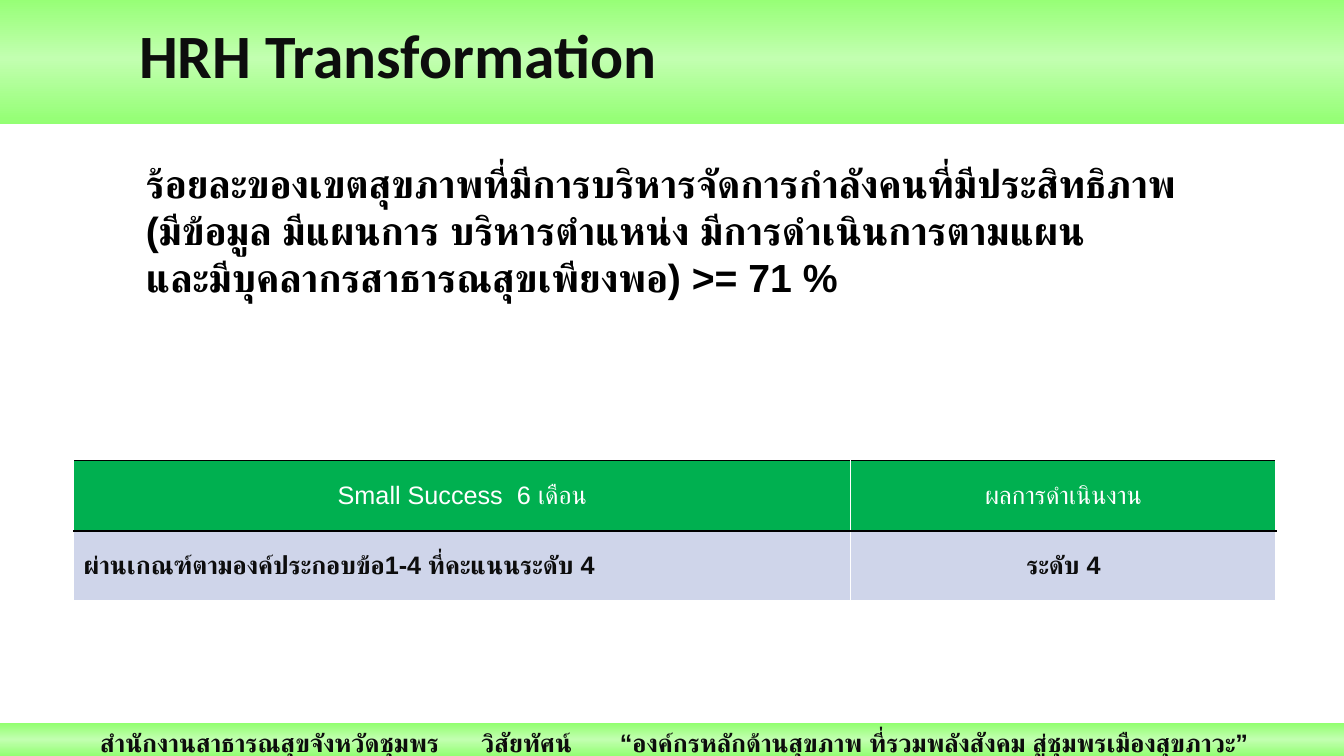
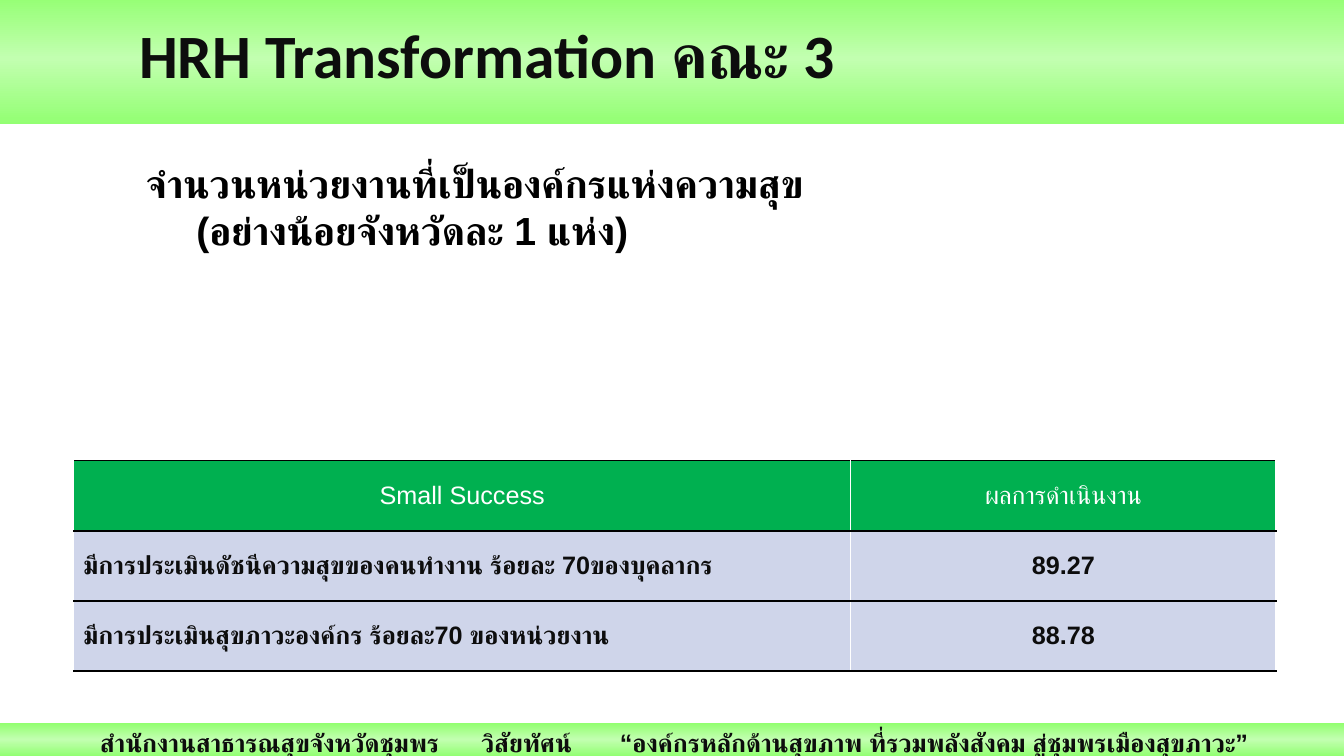
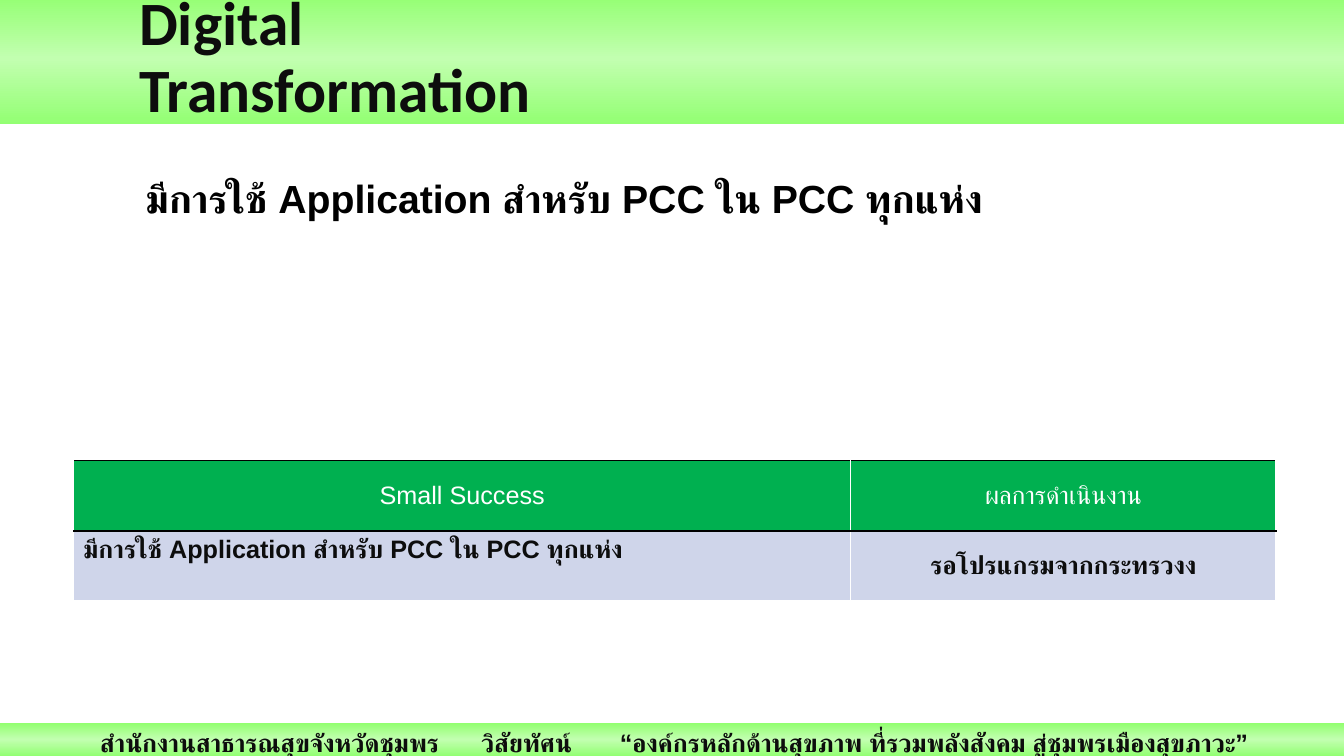
from copy import deepcopy

from lxml.etree import SubElement
from pptx import Presentation
from pptx.dml.color import RGBColor as Rgb
from pptx.enum.shapes import MSO_SHAPE as Shape
from pptx.enum.text import MSO_ANCHOR as Anchor, MSO_AUTO_SIZE as AutoSize, PP_ALIGN as Align
from pptx.oxml.ns import qn
from pptx.util import Pt

WIDTH, HEIGHT = 960, 540
COLORS = {
    "edge_top": "92FF70", "edge_bottom": "93FF73", "glow": "C2FFB0",
    "ink": "0D0D0D", "black": "000000", "white": "FFFFFF",
    "header": "00B050", "row": "CFD5EA",
}
FOOTER = "สำนักงานสาธารณสุขจังหวัดชุมพร\tวิสัยทัศน์\t“องค์กรหลักด้านสุขภาพ ที่รวมพลังสังคม สู่ชุมพรเมืองสุขภาวะ”"
FOOTER_TABS = (272.2, 371.3)
COLUMNS = (555.1, 303.8)
ROW_HEIGHT = 50.1
RESULT = "ผลการดำเนินงาน"


def rgb(name):
    return Rgb.from_string(COLORS[name])


def write(frame, text, size=18, face="Arial", color="ink", bold=True,
          align=Align.LEFT, spacing=None, tabs=()):
    for index, line in enumerate(text.split("\n")):
        para = frame.add_paragraph() if index else frame.paragraphs[0]
        para.alignment = align
        if spacing:
            para.line_spacing = spacing
        if tabs:
            tab_list = SubElement(para._p.get_or_add_pPr(), qn("a:tabLst"))
            for stop in tabs:
                SubElement(tab_list, qn("a:tab"), pos=str(Pt(stop)), algn="l")
        span = para.add_run()
        span.text = line
        span.font.size = Pt(size)
        span.font.bold = bold
        span.font.name = face
        span.font.color.rgb = rgb(color)
        SubElement(span._r.get_or_add_rPr(), qn("a:cs"), typeface=face)


def add_band(page, top, height):
    band = page.shapes.add_shape(Shape.RECTANGLE, 0, Pt(top), Pt(WIDTH), Pt(height))
    band.shadow.inherit = False
    band.line.fill.background()
    band.fill.gradient()
    band.fill.gradient_angle = 270
    stops = band._element.spPr.find(qn("a:gradFill")).find(qn("a:gsLst"))
    stops.insert(1, deepcopy(stops[0]))
    shades = ("edge_top", "glow", "edge_bottom")
    for stop, position, shade in zip(band.fill.gradient_stops, (0, 0.5, 1), shades):
        stop.position = position
        stop.color.rgb = rgb(shade)
    page.shapes._spTree.remove(band._element)
    page.shapes._spTree.insert(2, band._element)
    return band


def add_footer(page):
    frame = add_band(page, 516.5, 23.5).text_frame
    frame.word_wrap = True
    frame.vertical_anchor = Anchor.MIDDLE
    frame.margin_left = Pt(71.5)
    frame.margin_right = frame.margin_top = frame.margin_bottom = Pt(7.2)
    write(frame, FOOTER, spacing=1.2, tabs=FOOTER_TABS)


def set_title(page, text, width):
    title = page.shapes.title
    title.left, title.top, title.width, title.height = Pt(92.2), Pt(13), Pt(width), Pt(58.3)
    frame = title.text_frame
    frame.word_wrap = True
    frame.auto_size = AutoSize.NONE
    frame.vertical_anchor = Anchor.MIDDLE
    write(frame, text, size=44, face="Calibri", spacing=0.9)


def add_goal(page, text, top):
    box = page.shapes.add_textbox(Pt(97.2), Pt(top), Pt(820), Pt(34 * len(text.split("\n")) + 7))
    box.text_frame.word_wrap = True
    write(box.text_frame, text, size=28, color="black")


def set_borders(cell, bottom):
    edges = (("L", "white", 1), ("R", "white", 1), ("T", "black", 1.5), ("B", *bottom))
    properties = cell._tc.get_or_add_tcPr()
    for index, (side, color, weight) in enumerate(edges):
        line = SubElement(properties, qn(f"a:ln{side}"), w=str(Pt(weight)))
        fill = SubElement(line, qn("a:solidFill"))
        SubElement(fill, qn("a:srgbClr"), val=COLORS[color])
        properties.insert(index, line)


def add_results(page, rows, closed, first_anchor):
    table = page.shapes.add_table(len(rows), len(COLUMNS), Pt(52.6), Pt(329),
                                  Pt(sum(COLUMNS)), Pt(ROW_HEIGHT * len(rows))).table
    table.first_row = table.horz_banding = False
    for column, width in zip(table.columns, COLUMNS):
        column.width = Pt(width)
    for row_index, texts in enumerate(rows):
        table.rows[row_index].height = Pt(ROW_HEIGHT)
        header = row_index == 0
        last = row_index == len(rows) - 1
        bottom = ("white", 1) if last and not closed else ("black", 1.5)
        for column_index, text in enumerate(texts):
            cell = table.cell(row_index, column_index)
            label = column_index == 0 and not header
            cell.vertical_anchor = first_anchor if label else Anchor.MIDDLE
            cell.fill.solid()
            cell.fill.fore_color.rgb = rgb("header" if header else "row")
            set_borders(cell, bottom)
            write(cell.text_frame, text, color="white" if header else "ink",
                  bold=not header, align=Align.LEFT if label else Align.CENTER)


def add_page(deck, title, goal, rows, title_width=398.2, goal_top=110.2,
             closed=False, first_anchor=Anchor.MIDDLE):
    page = deck.slides.add_slide(deck.slide_layouts[5])
    add_band(page, -5, 93.6)
    set_title(page, title, title_width)
    add_goal(page, goal, goal_top)
    add_footer(page)
    add_results(page, rows, closed, first_anchor)


def main():
    deck = Presentation()
    deck.slide_width, deck.slide_height = Pt(WIDTH), Pt(HEIGHT)
    add_page(
        deck, "HRH Transformation",
        "ร้อยละของเขตสุขภาพที่มีการบริหารจัดการกำลังคนที่มีประสิทธิภาพ\n"
        "(มีข้อมูล มีแผนการ บริหารตำแหน่ง มีการดำเนินการตามแผน\n"
        "และมีบุคลากรสาธารณสุขเพียงพอ) >= 71 %",
        [("Small Success  6 เดือน", RESULT),
         ("ผ่านเกณฑ์ตามองค์ประกอบข้อ1-4 ที่คะแนนระดับ 4", "ระดับ 4")])
    add_page(
        deck, "HRH Transformation คณะ 3",
        "จำนวนหน่วยงานที่เป็นองค์กรแห่งความสุข\n\t(อย่างน้อยจังหวัดละ 1 แห่ง)",
        [("Small Success", RESULT),
         ("มีการประเมินดัชนีความสุขของคนทำงาน ร้อยละ 70ของบุคลากร", "89.27"),
         ("มีการประเมินสุขภาวะองค์กร ร้อยละ70 ของหน่วยงาน", "88.78")],
        title_width=518.4, closed=True)
    application = "มีการใช้ Application สำหรับ PCC ใน PCC ทุกแห่ง"
    add_page(
        deck, "Digital Transformation", application,
        [("Small Success", RESULT), (application, "รอโปรแกรมจากกระทรวงง")],
        goal_top=121, first_anchor=Anchor.TOP)
    deck.save("out.pptx")


if __name__ == "__main__":
    main()
